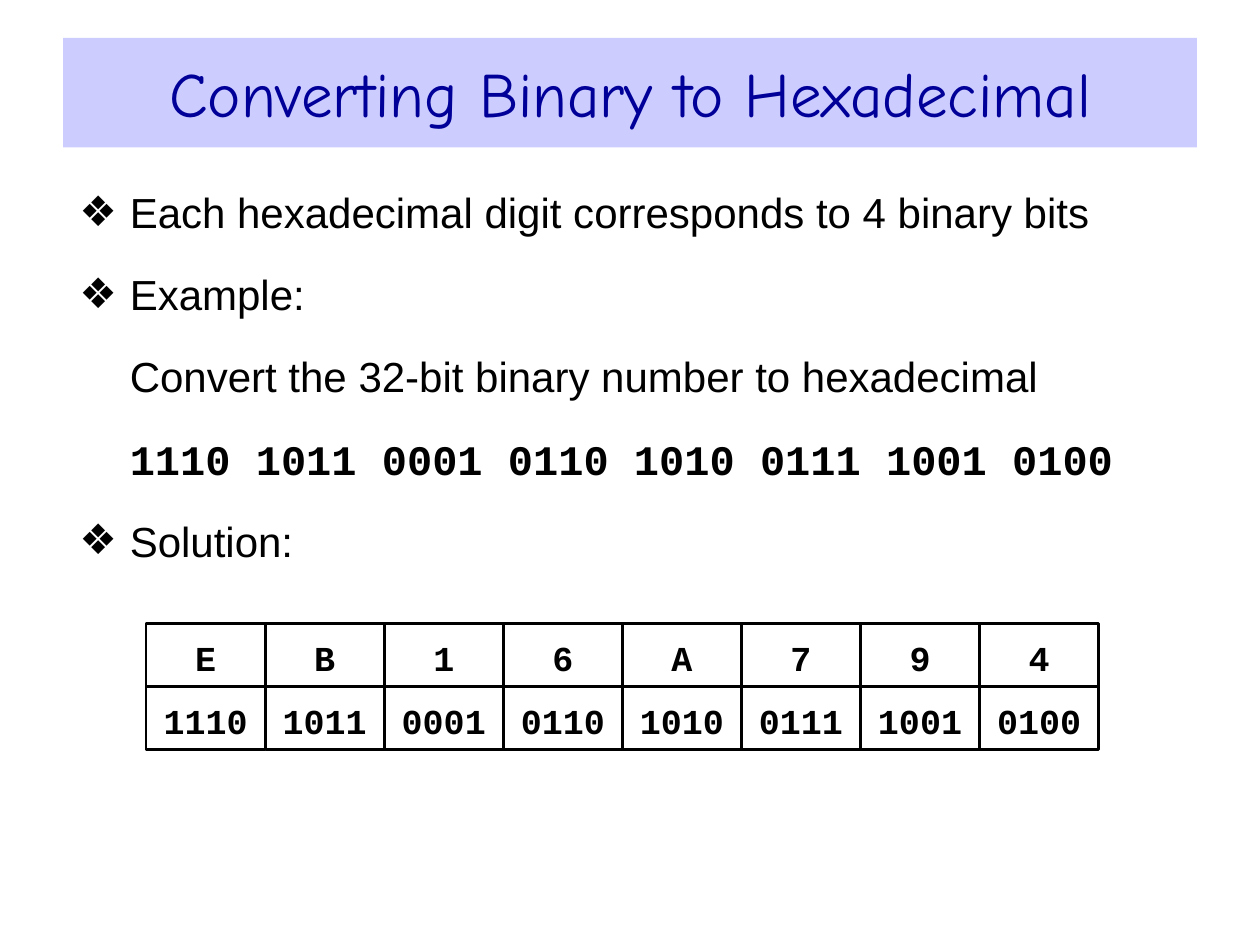
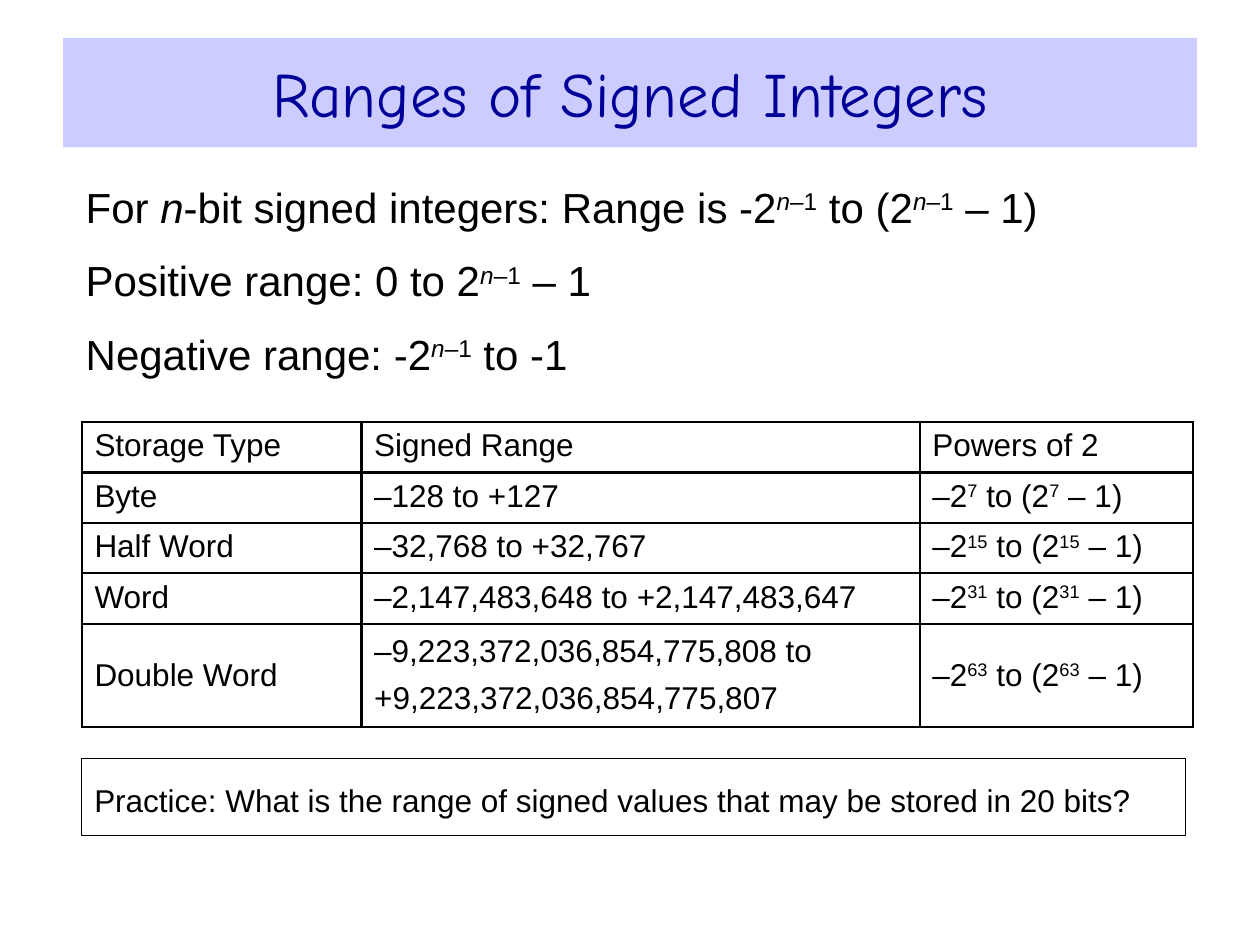
import lxml.etree
import pptx
import pptx.dml.color
import pptx.enum.shapes
import pptx.enum.text
import pptx.oxml.ns
import pptx.util
from pptx.util import Inches, Pt

# Shared look
BAND = pptx.dml.color.RGBColor(0xCC, 0xCC, 0xFF)
TITLE_BLUE = pptx.dml.color.RGBColor(0x00, 0x00, 0x99)
BLACK = pptx.dml.color.RGBColor(0x00, 0x00, 0x00)
TITLE_FONT, BODY_FONT, CODE_FONT = "Comic Neue", "Arial", "Courier New"
TITLE_BOX = (0.5, 0.3, 9, 0.87)
LINE_SPACING = 1.1
ANCHOR = pptx.enum.text.MSO_ANCHOR
ALIGN = pptx.enum.text.PP_ALIGN

# Slide 1 content: (text, has bullet, font)
HEX_TITLE = "Converting Binary to Hexadecimal"
BINARY_NUMBER = "1110 1011 0001 0110 1010 0111 1001 0100"
HEX_POINTS = [
    ("Each hexadecimal digit corresponds to 4 binary bits", True, BODY_FONT),
    ("Example:", True, BODY_FONT),
    ("Convert the 32-bit binary number to hexadecimal", False, BODY_FONT),
    (BINARY_NUMBER, False, CODE_FONT),
    ("Solution:", True, BODY_FONT),
]
HEX_BODY_BOX = (0.53, 1.29, 8.94, 3.41)
DIGIT_ROWS = ["EB16A794", BINARY_NUMBER.split()]
DIGIT_LEFT, DIGIT_TOP = 1.16, 4.95
DIGIT_WIDTH, DIGIT_HEIGHT = 0.945, 0.5

# Slide 2 content: _italic_ and ^superscript^
RANGE_TITLE = "Ranges of Signed Integers"
RANGE_LINES = [
    "For _n_-bit signed integers: Range is -2^_n_–1^ to (2^_n_–1^ – 1)",
    "Positive range: 0 to 2^_n_–1^ – 1",
    "Negative range: -2^_n_–1^ to -1",
]
RANGE_BODY_BOX = (0.58, 1.25, 8.83, 1.9)
RANGE_HEADER = ("Storage Type", "Signed Range", "Powers of 2")
RANGE_ROWS = [
    ("Byte", "–128 to +127", 7),
    ("Half Word", "–32,768 to +32,767", 15),
    ("Word", "–2,147,483,648 to +2,147,483,647", 31),
    ("Double Word",
     "–9,223,372,036,854,775,808 to\n+9,223,372,036,854,775,807", 63),
]
TABLE_BOX = (0.65, 3.35, 8.82, 2.42)
COLUMN_WIDTHS = (2.22, 4.43, 2.17)
ROW_HEIGHTS = (0.4, 0.4, 0.4, 0.4, 0.82)
PRACTICE = ("Practice: What is the range of signed values "
            "that may be stored in 20 bits?")
PRACTICE_BOX = (0.65, 6.02, 8.76, 0.61)


def add_xml(parent, tag, **attributes):
    return lxml.etree.SubElement(parent, pptx.oxml.ns.qn(tag), attributes)


def place(shape, box):
    shape.left, shape.top, shape.width, shape.height = map(Inches, box)


def set_margins(text_frame, side, vertical):
    text_frame.margin_left = text_frame.margin_right = Inches(side)
    text_frame.margin_top = text_frame.margin_bottom = Inches(vertical)


def format_runs(paragraph, size, font=BODY_FONT, color=BLACK, bold=False):
    for run in paragraph.runs:
        run.font.size, run.font.name, run.font.bold = Pt(size), font, bold
        run.font.color.rgb = color


def write_marked(paragraph, marked_text):
    """Write runs, switching italic at _ and superscript at ^."""
    for index, part in enumerate(marked_text.split("^")):
        for inner, text in enumerate(part.split("_")):
            if not text:
                continue
            run = paragraph.add_run()
            run.text = text
            if inner % 2:
                run.font.italic = True
            if index % 2:
                run._r.get_or_add_rPr().set("baseline", "30000")


def write_lines(text_frame, lines, size, space_before, line_spacing):
    for index, line in enumerate(lines):
        paragraph = text_frame.add_paragraph() if index else text_frame.paragraphs[0]
        write_marked(paragraph, line)
        format_runs(paragraph, size)
        paragraph.space_before = Pt(space_before)
        paragraph.line_spacing = line_spacing


def set_bullet(paragraph, has_bullet):
    properties = paragraph._p.get_or_add_pPr()
    properties.set("marL", str(Inches(0.4)))
    properties.set("indent", str(-Inches(0.4) if has_bullet else 0))
    if has_bullet:
        add_xml(properties, "a:buFont", typeface=BODY_FONT)
        add_xml(properties, "a:buChar", char="❖")
    else:
        add_xml(properties, "a:buNone")


def add_titled_slide(presentation, title_text, body_box):
    slide = presentation.slides.add_slide(presentation.slide_layouts[1])
    title, body = slide.shapes.title, slide.placeholders[1]
    place(title, TITLE_BOX)
    title.fill.solid()
    title.fill.fore_color.rgb = BAND
    title.text_frame.text = title_text
    title.text_frame.vertical_anchor = ANCHOR.MIDDLE
    paragraph = title.text_frame.paragraphs[0]
    paragraph.alignment = ALIGN.CENTER
    format_runs(paragraph, 36, TITLE_FONT, TITLE_BLUE)

    place(body, body_box)
    body.text_frame.auto_size = pptx.enum.text.MSO_AUTO_SIZE.NONE
    body.text_frame.vertical_anchor = ANCHOR.TOP
    set_margins(body.text_frame, 0.1, 0.15)
    return slide, body.text_frame


def add_outlined_box(slide, box, line_width):
    shape = slide.shapes.add_shape(
        pptx.enum.shapes.MSO_SHAPE.RECTANGLE, *map(Inches, box))
    shape.shadow.inherit = False
    shape.fill.background()
    shape.line.color.rgb = BLACK
    shape.line.width = Pt(line_width)
    shape.text_frame.word_wrap = True
    return shape


def set_borders(cell, width):
    properties = cell._tc.get_or_add_tcPr()
    for position, side in enumerate(("a:lnL", "a:lnR", "a:lnT", "a:lnB")):
        line = add_xml(properties, side, w=str(Pt(width)))
        add_xml(add_xml(line, "a:solidFill"), "a:srgbClr", val=str(BLACK))
        properties.insert(position, line)


def build_hexadecimal_slide(presentation):
    slide, text_frame = add_titled_slide(presentation, HEX_TITLE, HEX_BODY_BOX)
    text_frame.text = "\n".join(text for text, _, _ in HEX_POINTS)
    for paragraph, (_, has_bullet, font) in zip(text_frame.paragraphs, HEX_POINTS):
        format_runs(paragraph, 24, font, bold=font == CODE_FONT)
        paragraph.space_before = Pt(15.3)
        paragraph.line_spacing = LINE_SPACING
        set_bullet(paragraph, has_bullet)

    # Hexadecimal digits above their binary groups
    for row, digits in enumerate(DIGIT_ROWS):
        for column, digit in enumerate(digits):
            box = (DIGIT_LEFT + column * DIGIT_WIDTH,
                   DIGIT_TOP + row * DIGIT_HEIGHT, DIGIT_WIDTH, DIGIT_HEIGHT)
            shape = add_outlined_box(slide, box, 1.5)
            set_margins(shape.text_frame, 0, 0)
            shape.text_frame.text = digit
            shape.text_frame.vertical_anchor = ANCHOR.MIDDLE
            paragraph = shape.text_frame.paragraphs[0]
            paragraph.alignment = ALIGN.CENTER
            paragraph.line_spacing = LINE_SPACING
            format_runs(paragraph, 20, CODE_FONT, bold=True)


def build_range_slide(presentation):
    slide, text_frame = add_titled_slide(presentation, RANGE_TITLE, RANGE_BODY_BOX)
    write_lines(text_frame, RANGE_LINES, 24, 10.3, LINE_SPACING)
    for paragraph in text_frame.paragraphs:
        properties = paragraph._p.get_or_add_pPr()
        properties.set("marL", "0")
        properties.set("indent", "0")
        add_xml(properties, "a:buNone")

    # Practice question
    practice = add_outlined_box(slide, PRACTICE_BOX, 0.75)
    practice.text_frame.vertical_anchor = ANCHOR.TOP
    set_margins(practice.text_frame, 0.1, 0.15)
    write_lines(practice.text_frame, [PRACTICE], 18, 0, LINE_SPACING)
    practice.text_frame.paragraphs[0].alignment = ALIGN.LEFT

    # Table of storage types
    rows = [RANGE_HEADER] + [
        (name, signed_range, f"–2^{power}^ to (2^{power}^ – 1)")
        for name, signed_range, power in RANGE_ROWS]
    table = slide.shapes.add_table(
        len(rows), len(RANGE_HEADER), *map(Inches, TABLE_BOX)).table
    table.first_row = table.horz_banding = False
    for column, width in zip(table.columns, COLUMN_WIDTHS):
        column.width = Inches(width)
    for row, height, texts in zip(table.rows, ROW_HEIGHTS, rows):
        row.height = Inches(height)
        for cell, text in zip(row.cells, texts):
            cell.fill.background()
            set_margins(cell, 0.1, 0.05)
            if texts is rows[-1]:
                cell.vertical_anchor = ANCHOR.MIDDLE
            write_lines(cell.text_frame, text.split("\n"), 18, 6.7, 1.0)
            set_borders(cell, 1.5)


def main():
    presentation = pptx.Presentation()
    presentation.slide_width, presentation.slide_height = Inches(10), Inches(7.5)
    build_hexadecimal_slide(presentation)
    build_range_slide(presentation)
    presentation.save("out.pptx")


if __name__ == "__main__":
    main()
